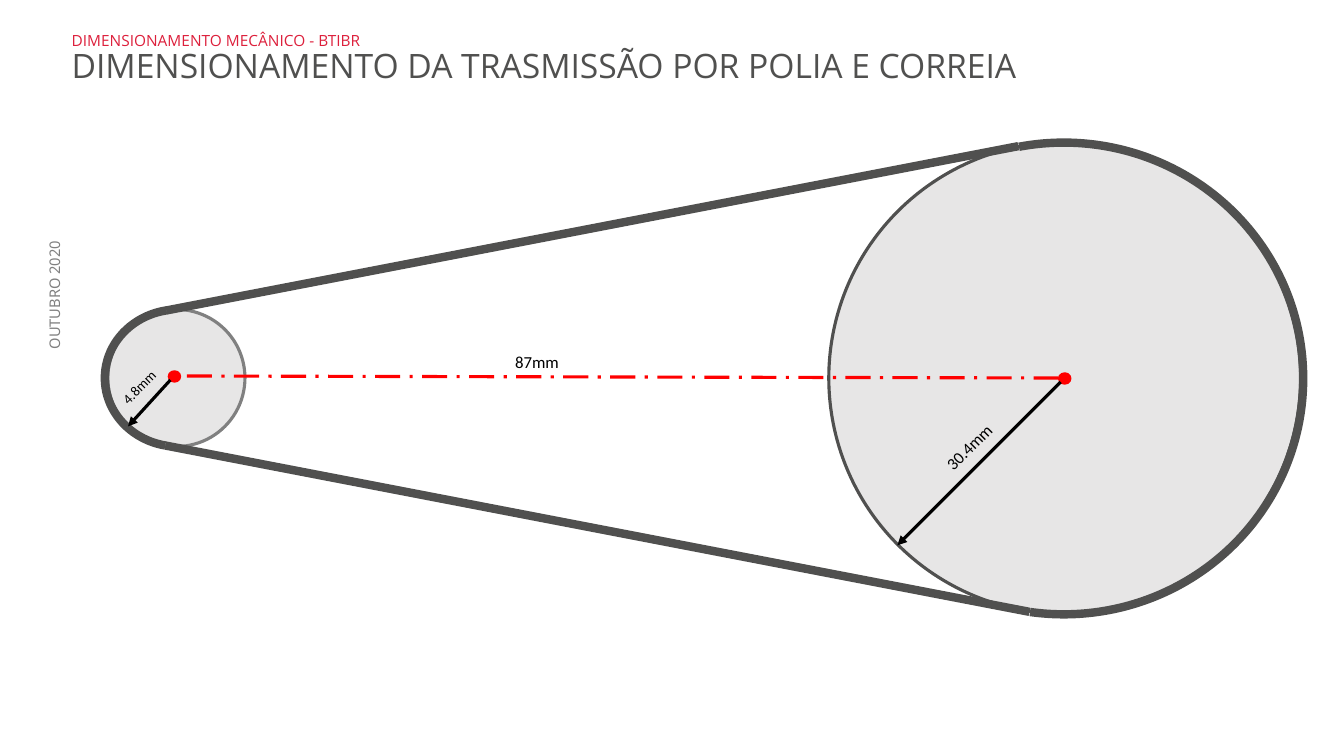
from lxml import etree
from pptx import Presentation
from pptx.dml.color import RGBColor
from pptx.enum.dml import MSO_LINE_DASH_STYLE as Dash
from pptx.enum.shapes import MSO_CONNECTOR as Connector, MSO_SHAPE as Shape
from pptx.enum.text import MSO_ANCHOR as Anchor, MSO_AUTO_SIZE as AutoSize, PP_ALIGN as Align
from pptx.oxml.ns import qn
from pptx.util import Inches, Pt

CRIMSON = RGBColor(0xDD, 0x20, 0x3C)
CHARCOAL = RGBColor(0x50, 0x50, 0x4F)
GRAY = RGBColor(0x80, 0x80, 0x80)
PALE = RGBColor(0xE7, 0xE6, 0xE6)
RED = RGBColor(0xFF, 0x00, 0x00)
BLACK = RGBColor(0x00, 0x00, 0x00)

HEADING = [
    ("DIMENSIONAMENTO MECÂNICO - BTIBR", {"name": "Open Sans", "size": Pt(11)}, CRIMSON),
    ("DIMENSIONAMENTO DA TRASMISSÃO POR POLIA E CORREIA", {"name": "Open Sans", "size": Pt(24)}, CHARCOAL),
]
DATE = ("OUTUBRO 2020", {"name": "Noto Sans", "size": Pt(10.5)}, GRAY)
PULLEYS = [
    {"center": (10.56, 3.75), "radius": 2.34, "rim": CHARCOAL},
    {"center": (1.75, 3.75), "radius": 0.68, "rim": GRAY},
]
SHAFTS = [(10.56, 3.755), (1.73, 3.735)]
RADIUS_ARROWS = [((10.52, 3.79), (8.9, 5.41)), ((1.69, 3.77), (1.27, 4.23))]
LABELS = [
    ("4.8mm", (1.08, 3.7, 0.61, 0.27), 10, 315),
    ("30.4mm", (9.23, 4.28, 0.77, 0.3), 12, 315),
    ("87mm", (5.01, 3.44, 0.64, 0.3), 12, 0),
]
CENTER_LINE = ((10.5, 3.75), (1.79, 3.73))
BELT_ARCS = [
    ((1.09, 3.02, 1.36, 1.46), 270, (114.61, 210.01)),
    ((8.21, 1.38, 4.68, 4.75), 90, (101.44, 4.93)),
]
BELT_SIDES = [((1.65, 3.08), (10.1, 1.45)), ((1.64, 4.42), (10.21, 6.07))]


def inches(values):
    return [Inches(value) for value in values]


def around(center, width, height):
    return center[0] - width / 2, center[1] - height / 2, width, height


def write(para, text, formats, color):
    span = para.add_run()
    span.text = text
    for name, value in formats.items():
        setattr(span.font, name, value)
    span.font.color.rgb = color


def add_outline(shapes, kind, area, line_color, width, fill=None):
    shape = shapes.add_shape(kind, *inches(area))
    shape.shadow.inherit = False
    if fill is None:
        shape.fill.background()
    else:
        shape.fill.solid()
        shape.fill.fore_color.rgb = fill
    shape.line.color.rgb = line_color
    shape.line.width = Pt(width)
    return shape


def add_line(shapes, ends, color, width, dash=None, arrow=False):
    start, end = ends
    line = shapes.add_connector(Connector.STRAIGHT, *inches(start + end))
    line.line.color.rgb = color
    line.line.width = Pt(width)
    if dash is not None:
        line.line.dash_style = dash
    if arrow:
        etree.SubElement(line.line._get_or_add_ln(), qn("a:tailEnd"), type="triangle")
    etree.SubElement(line._element.spPr, qn("a:effectLst"))


def add_heading(page):
    title = page.shapes.title
    title.left, title.top, title.width, title.height = inches((0.61, 0.28, 11.27, 0.69))
    frame = title.text_frame
    frame.auto_size = AutoSize.NONE
    frame.vertical_anchor = Anchor.TOP
    for index, line in enumerate(HEADING):
        para = frame.add_paragraph() if index else frame.paragraphs[0]
        para.alignment = Align.LEFT
        para.line_spacing = 0.9
        write(para, *line)


def add_date(page):
    box = page.shapes.add_textbox(*inches((-0.2, 2.92, 1.5, 0.25)))
    box.rotation = 270
    frame = box.text_frame
    frame.word_wrap = True
    frame.vertical_anchor = Anchor.MIDDLE
    frame.margin_top = frame.margin_bottom = 0
    para = frame.paragraphs[0]
    para.alignment = Align.RIGHT
    para.line_spacing = 0.9
    write(para, *DATE)


def add_label(shapes, text, area, size, rotation):
    box = shapes.add_textbox(*inches(area))
    box.rotation = rotation
    box.text_frame.word_wrap = False
    box.text_frame.auto_size = AutoSize.SHAPE_TO_FIT_TEXT
    write(box.text_frame.paragraphs[0], text, {"name": "Calibri", "size": Pt(size)}, BLACK)


def add_drive(page):
    shapes = page.shapes.add_group_shape().shapes
    for pulley in PULLEYS:
        diameter = 2 * pulley["radius"]
        area = around(pulley["center"], diameter, diameter)
        add_outline(shapes, Shape.OVAL, area, pulley["rim"], 2.25, PALE)
    for shaft in SHAFTS:
        add_outline(shapes, Shape.OVAL, around(shaft, 0.12, 0.11), RED, 1, RED)
    for label in LABELS:
        add_label(shapes, *label)
    add_line(shapes, CENTER_LINE, RED, 2.25, dash=Dash.LONG_DASH_DOT)
    for area, rotation, angles in BELT_ARCS:
        arc = add_outline(shapes, Shape.ARC, area, CHARCOAL, 6)
        arc.rotation = rotation
        arc.adjustments[0], arc.adjustments[1] = angles
    for side in BELT_SIDES:
        add_line(shapes, side, CHARCOAL, 6)
    for ends in RADIUS_ARROWS:
        add_line(shapes, ends, BLACK, 2.25, arrow=True)


def main():
    deck = Presentation()
    deck.slide_width, deck.slide_height = inches((13.33, 7.5))
    page = deck.slides.add_slide(deck.slide_layouts[5])
    add_date(page)
    add_heading(page)
    add_drive(page)
    deck.save("out.pptx")


if __name__ == "__main__":
    main()
